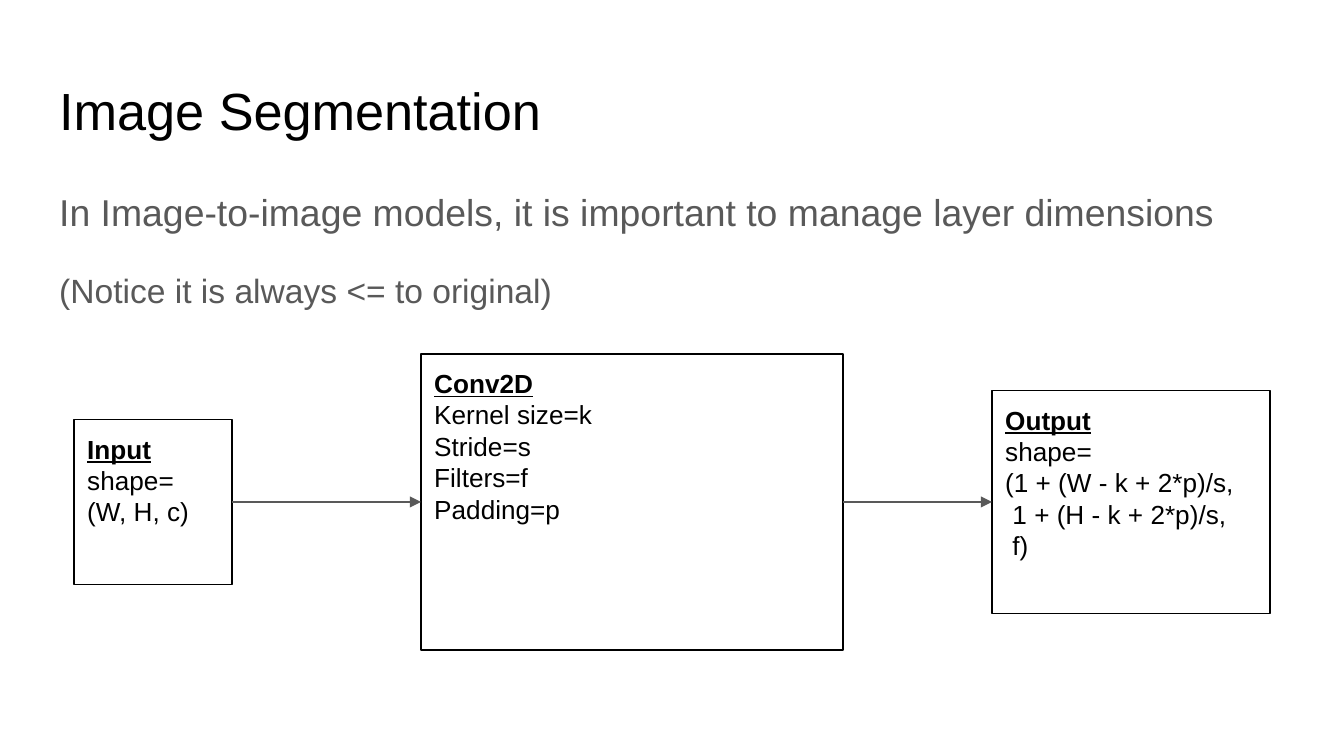
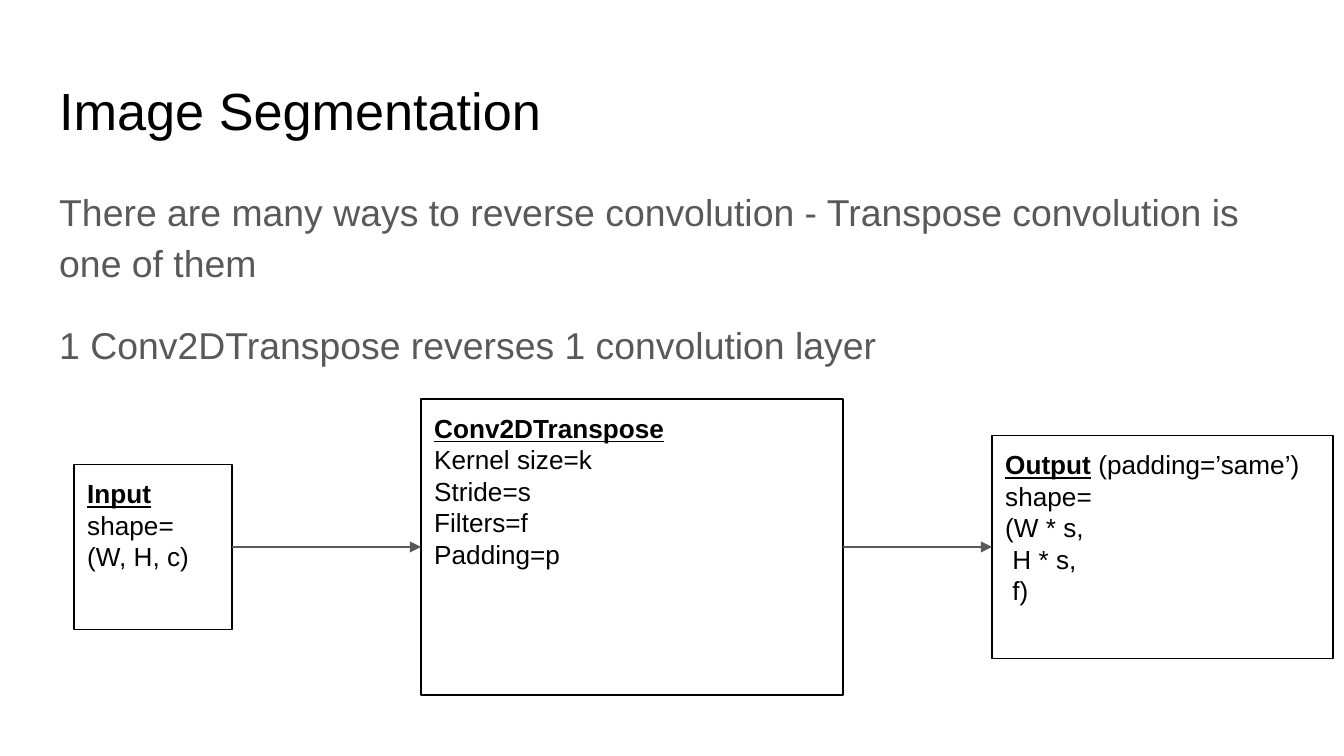
from dataclasses import dataclass
from itertools import pairwise

from lxml import etree
from pptx import Presentation
from pptx.dml.color import RGBColor
from pptx.enum.shapes import MSO_CONNECTOR, MSO_SHAPE
from pptx.enum.text import MSO_ANCHOR, PP_ALIGN
from pptx.oxml.ns import qn
from pptx.util import Emu, Pt

PX = 914400 / 134.4


def px(value):
    return Emu(round(value * PX))


@dataclass(frozen=True)
class Theme:
    font: str = "Arial"
    ink: RGBColor = RGBColor(0, 0, 0)
    muted: RGBColor = RGBColor(0x59, 0x59, 0x59)
    title: int = 28
    lead: int = 20
    note: int = 18
    label: int = 14
    line: float = 0.75
    inset: float = 13.44


class Deck:
    def __init__(self, theme):
        self.theme = theme
        self.prs = Presentation()
        self.prs.slide_width, self.prs.slide_height = px(1344), px(756)
        self.slide = None

    def new_slide(self, title, body):
        self.slide = self.prs.slides.add_slide(self.prs.slide_layouts[6])
        self.title(title)
        self.body(body)

    def frame(self, shape):
        frame = shape.text_frame
        frame.word_wrap = True
        frame.vertical_anchor = MSO_ANCHOR.TOP
        inset = px(self.theme.inset)
        frame.margin_left = frame.margin_right = inset
        frame.margin_top = frame.margin_bottom = inset
        return frame

    def paragraph(self, frame, index):
        para = frame.add_paragraph() if index else frame.paragraphs[0]
        para.alignment = PP_ALIGN.LEFT
        return para

    def run(self, para, text, size, color, heading=False):
        run = para.add_run()
        run.text = text
        font = run.font
        font.name, font.size = self.theme.font, Pt(size)
        font.color.rgb = color
        font.bold = font.underline = heading

    def textbox(self, left, top, width, height):
        return self.frame(self.slide.shapes.add_textbox(
            px(left), px(top), px(width), px(height)))

    def title(self, text):
        para = self.paragraph(self.textbox(46, 65, 1252, 85), 0)
        self.run(para, text, self.theme.title, self.theme.ink)

    def body(self, lines):
        frame = self.textbox(46, 169, 1252, 503)
        for i, (text, size) in enumerate(lines):
            para = self.paragraph(frame, i)
            para.line_spacing = 1.15
            para.space_before = Pt(16 if i else 0)
            self.run(para, text, size, self.theme.muted)

    def box(self, left, middle, width, height, heading, suffix, lines):
        shape = self.slide.shapes.add_shape(
            MSO_SHAPE.RECTANGLE, px(left), px(middle - height / 2),
            px(width), px(height))
        shape.shadow.inherit = False
        shape.fill.background()
        shape.line.color.rgb = self.theme.ink
        shape.line.width = Pt(self.theme.line)
        frame = self.frame(shape)
        size, ink = self.theme.label, self.theme.ink
        para = self.paragraph(frame, 0)
        self.run(para, heading, size, ink, heading=True)
        if suffix:
            self.run(para, suffix, size, ink)
        for i, text in enumerate(lines, 1):
            self.run(self.paragraph(frame, i), text, size, ink)
        return shape

    def arrow(self, source, target, middle):
        line = self.slide.shapes.add_connector(
            MSO_CONNECTOR.STRAIGHT, source.left + source.width, px(middle),
            target.left, px(middle))
        line.line.color.rgb = self.theme.muted
        line.line.width = Pt(self.theme.line)
        etree.SubElement(line.line._get_or_add_ln(), qn("a:tailEnd"),
                         type="triangle", w="med", len="med")
        etree.SubElement(line._element.spPr, qn("a:effectLst"))

    def layer_flow(self, middle, layer, output_width, suffix, shape_lines):
        boxes = [
            self.box(74, middle, 158, 165, "Input", "",
                     ["shape=", "(W, H, c)"]),
            self.box(421, middle, 422, 296, layer, "",
                     ["Kernel size=k", "Stride=s", "Filters=f", "Padding=p"]),
            self.box(992, middle, output_width, 223, "Output", suffix,
                     ["shape=", *shape_lines]),
        ]
        for source, target in pairwise(boxes):
            self.arrow(source, target, middle)


theme = Theme()
deck = Deck(theme)
TITLE = "Image Segmentation"

deck.new_slide(TITLE, [
    ("In Image-to-image models, it is important to manage layer dimensions",
     theme.lead),
    ("(Notice it is always <= to original)", theme.note),
])
deck.layer_flow(502, "Conv2D", 278, "",
                ["(1 + (W - k + 2*p)/s,", " 1 + (H - k + 2*p)/s,", " f)"])

deck.new_slide(TITLE, [
    ("There are many ways to reverse convolution - "
     "Transpose convolution is one of them", theme.lead),
    ("1 Conv2DTranspose reverses 1 convolution layer", theme.lead),
])
deck.layer_flow(547, "Conv2DTranspose", 341, " (padding=’same’)",
                ["(W * s,", " H * s,", " f)"])

deck.prs.save("out.pptx")
